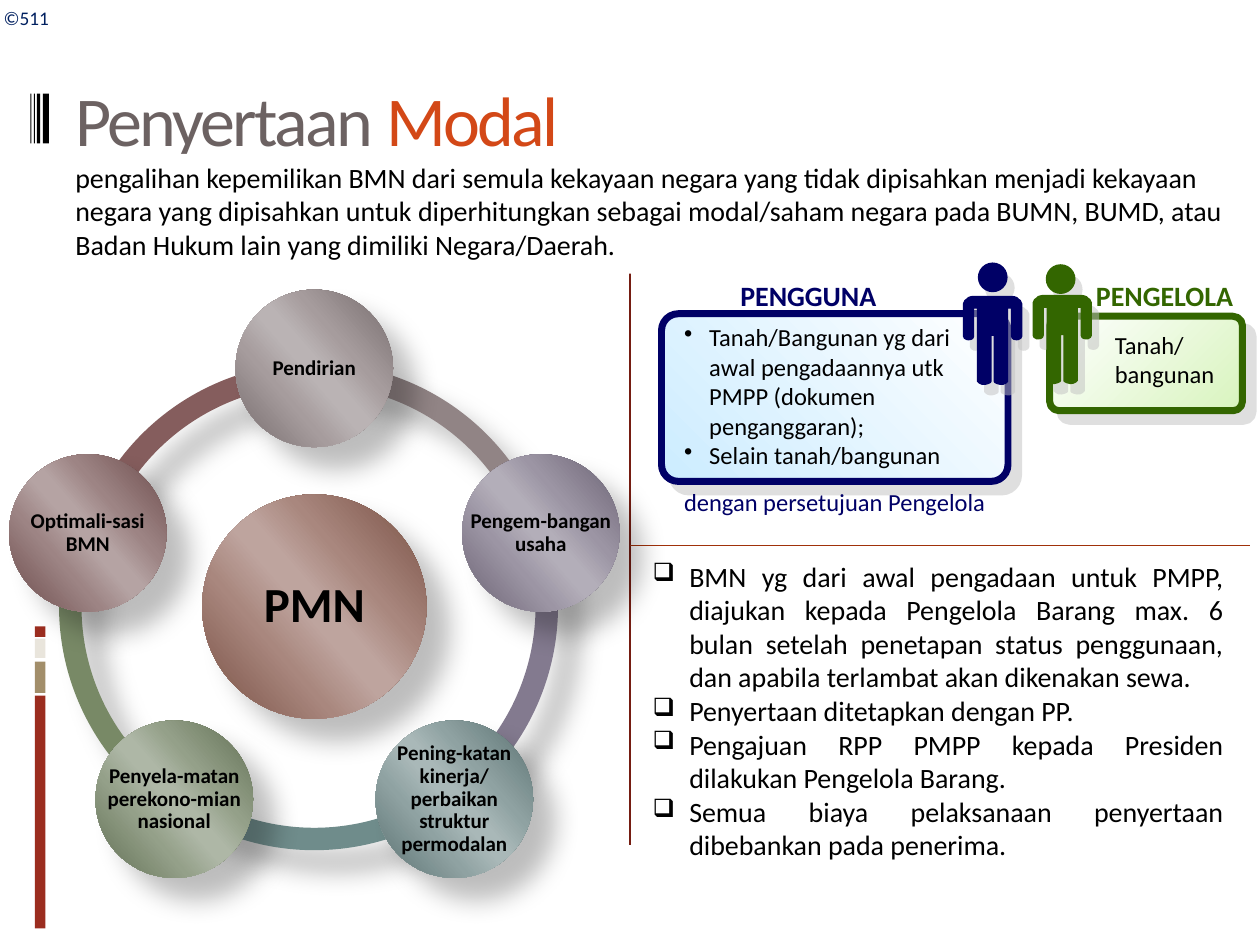
"""Build the "Penyertaan Modal" slide with its PMN cycle and role panels."""
from dataclasses import dataclass
from math import cos, radians, sin
from typing import NamedTuple

from lxml.etree import SubElement
from pptx import Presentation
from pptx.dml.color import RGBColor
from pptx.enum.shapes import MSO_CONNECTOR as CONN, MSO_SHAPE as SHAPE
from pptx.enum.text import MSO_ANCHOR as ANCHOR, PP_ALIGN as ALIGN
from pptx.oxml.ns import qn
from pptx.util import Pt

FONT = "Calibri"
NAVY, GREEN, BLACK = "000066", "336600", "000000"


class Box(NamedTuple):
    left: float
    top: float
    width: float
    height: float


class Run(NamedTuple):
    text: str
    color: str


class Shadow(NamedTuple):
    color: str
    opacity: int
    blur: float
    dist: float
    angle: int


class Bar(NamedTuple):
    box: Box
    color: str


@dataclass
class Node:
    label: str
    dark: str
    mid: str
    light: str
    arc: str
    arc_shift: float = 0


@dataclass
class Role:
    panel: Box
    color: str
    stops: list
    angle: int
    head: tuple
    body: tuple


PANEL_SHADOW = Shadow("C0C0C0", 50, 0, 8.5, 45)
PERSON_SHADOW = Shadow("C0C0C0", 50, 0, 7.2, 56)
CYCLE_SHADOW = Shadow(BLACK, 26, 15, 18, 45)

BARS = [
    Bar(Box(20, 397.5, 6, 133), "9B2D1F"), Bar(Box(20, 378, 6, 18), "A28E6A"),
    Bar(Box(20, 365, 6, 11), "E9E5DC"), Bar(Box(20, 358, 6, 6), "9B2D1F"),
    *(Bar(Box(x, 53.5, w, 28.5), BLACK) for x, w in ((24.5, 3.5), (21, 2), (19.3, 0.7), (17.3, 0.7))),
]
NODES = [
    Node("Pendirian", "746A6B", "A69C9D", "BAB3B4", "918485"),
    Node("Pengem-bangan usaha", "696172", "9C95A4", "B3AEB9", "837A8F"),
    Node("Pening-katan kinerja/ perbaikan struktur permodalan", "597070", "8FA2A2", "A9B8B8", "6F8C8B"),
    Node("Penyela-matan perekono-mian nasional", "606E52", "94A089", "AEB7A6", "788966", -6.5),
    Node("Optimali-sasi BMN", "6B4A4A", "9D8484", "B5A3A3", "855D5D"),
]
HUB = Node("PMN", "774E41", "A9877E", "BEA49E", "")
CENTER = (179.6, 346.6)
RING, ORBIT, NODE_SIZE, HUB_SIZE = 278.6, 136.1, 90, 128.2

USER = Role(Box(378, 179.3, 198, 95.8), NAVY, [(0, "CCECFF"), (100, "FFFFFF")], 315,
            (558.8, 150), (550.2, 169))
MANAGER = Role(Box(599.8, 180.7, 110.2, 54), GREEN, [(0, "FFFFFF"), (100, "D8F4BE")], 45,
               (597.6, 151), (590, 168.5))
HALF_BODY = [
    (5.8, 0), (4.3, 0.3), (2.9, 0.8), (2.1, 1.6), (0.9, 2.5), (0, 4.5), (0, 23.2), (0.6, 24.5),
    (2.1, 25.4), (3.4, 25.5), (5, 25.2), (6, 24.5), (6.5, 23.2), (6.5, 7.4), (8.1, 7.4), (8.1, 49.1),
    (9.2, 50.2), (10.8, 50.9), (12.6, 51), (14.6, 50.5), (16, 49.8), (16.4, 49), (16.4, 23),
]
BODY_WIDTH = 34


def rgb(value: str) -> RGBColor:
    return RGBColor.from_string(value)


def pts(values) -> list:
    return [Pt(v) for v in values]


def add_color(parent, color: str):
    return SubElement(parent, qn("a:srgbClr"), val=color)


def style(sp, fill=None, stops=None, angle=0, line=None, width=0, shadow=None) -> None:
    if stops:
        sp.fill.gradient()
        sp.fill.gradient_angle = (360 - angle) % 360
        gs_list = sp._element.spPr.find(".//" + qn("a:gsLst"))
        gs_list.clear()
        for pos, color in stops:
            add_color(SubElement(gs_list, qn("a:gs"), pos=str(pos * 1000)), color)
    else:
        sp.fill.solid()
        sp.fill.fore_color.rgb = rgb(fill)
    if line:
        sp.line.color.rgb = rgb(line)
        sp.line.width = Pt(width)
    else:
        sp.line.fill.background()
    sp.shadow.inherit = False
    if shadow:
        effects = sp._element.spPr.find(qn("a:effectLst"))
        outer = SubElement(effects, qn("a:outerShdw"), blurRad=str(Pt(shadow.blur)),
                           dist=str(Pt(shadow.dist)), dir=str(shadow.angle * 60000),
                           algn="ctr", rotWithShape="0")
        SubElement(add_color(outer, shadow.color), qn("a:alpha"), val=str(shadow.opacity * 1000))


def add_shape(s, kind, box: Box, adj=(), **look):
    sp = s.shapes.add_shape(kind, *pts(box))
    for i, value in enumerate(adj):
        sp.adjustments[i] = value
    style(sp, **look)
    return sp


def add_text(s, box: Box, *paras, size=16, color=BLACK, bold=False, align=ALIGN.LEFT, anchor=ANCHOR.TOP,
             wrap=True, inset=None, bullet=None, bullet_size=100, indent=0, leading=None, spacing=0):
    sp = s.shapes.add_textbox(*pts(box))
    tf = sp.text_frame
    tf.word_wrap, tf.vertical_anchor = wrap, anchor
    if inset is not None:
        tf.margin_left = tf.margin_top = tf.margin_right = tf.margin_bottom = Pt(inset)
    for i, para in enumerate(paras):
        p = tf.add_paragraph() if i else tf.paragraphs[0]
        if bullet:
            pPr = p._p.get_or_add_pPr()
            pPr.set("marL", str(Pt(indent)))
            pPr.set("indent", str(-Pt(indent)))
            SubElement(pPr, qn("a:buSzPct"), val=str(bullet_size * 1000))
            SubElement(pPr, qn("a:buChar"), char=bullet)
        p.alignment = align
        if leading:
            p.line_spacing = leading
        for text, run_color in [Run(para, color)] if isinstance(para, str) else para:
            r = p.add_run()
            r.text = text
            r.font.name, r.font.size, r.font.bold = FONT, Pt(size), bold
            r.font.color.rgb = rgb(run_color)
            if spacing:
                r._r.get_or_add_rPr().set("spc", str(int(spacing * 100)))
    return sp


def add_line(s, start: tuple, end: tuple, color: str) -> None:
    cx = s.shapes.add_connector(CONN.STRAIGHT, *pts(start + end))
    cx.line.color.rgb = rgb(color)
    cx.line.width = Pt(0.75)
    SubElement(cx._element.spPr, qn("a:effectLst"))


def add_role(s, role: Role) -> None:
    add_shape(s, SHAPE.ROUNDED_RECTANGLE, role.panel, [0.1], stops=role.stops, angle=role.angle,
              line=role.color, width=4, shadow=PANEL_SHADOW)
    add_shape(s, SHAPE.OVAL, Box(*role.head, 17, 17), fill=role.color, shadow=PERSON_SHADOW)
    outline = HALF_BODY + [(BODY_WIDTH - x, y) for x, y in reversed(HALF_BODY)]
    points = [(x * 10, y * 10) for x, y in outline]
    builder = s.shapes.build_freeform(*points[0], scale=Pt(0.1))
    builder.add_line_segments(points[1:], close=True)
    style(builder.convert_to_shape(*pts(role.body)), fill=role.color, shadow=PERSON_SHADOW)


def centered(x: float, y: float, size: float) -> Box:
    return Box(x - size / 2, y - size / 2, size, size)


def add_node(s, node: Node, box: Box, size: int, inset: float) -> None:
    stops = [(0, node.dark), (33, node.mid), (47, node.light),
             (53, node.light), (68, node.mid), (100, node.dark)]
    add_shape(s, SHAPE.OVAL, box, stops=stops, angle=139, shadow=CYCLE_SHADOW)
    add_text(s, box, node.label, size=size, bold=True, align=ALIGN.CENTER, anchor=ANCHOR.MIDDLE,
             inset=inset, leading=0.9)


def add_cycle(s) -> None:
    cx, cy = CENTER
    step = 360 / len(NODES)
    angles = [(270 + step * i) % 360 for i in range(len(NODES))]
    for node, angle in reversed(list(zip(NODES, angles))):
        add_shape(s, SHAPE.BLOCK_ARC, centered(cx + node.arc_shift, cy, RING),
                  [angle * 0.6, (angle + step) % 360 * 0.6, 0.046], fill=node.arc, shadow=CYCLE_SHADOW)
    add_node(s, HUB, centered(cx, cy, HUB_SIZE), 28, 2.8)
    for node, angle in zip(NODES, angles):
        x, y = cx + ORBIT * cos(radians(angle)), cy + ORBIT * sin(radians(angle))
        add_node(s, node, centered(x, y, NODE_SIZE), 12, 1.2)


def main() -> None:
    prs = Presentation()
    prs.slide_width, prs.slide_height = Pt(720), Pt(540)
    s = prs.slides.add_slide(prs.slide_layouts[6])
    for bar in BARS:
        add_shape(s, SHAPE.RECTANGLE, bar.box, fill=bar.color)
    add_text(s, Box(-5, 0, 44, 21), "©511", size=11, color="002060")
    add_line(s, (360, 126), (360, 483), "751D12")
    add_text(s, Box(36, 16.5, 648, 102), [Run("Penyertaan ", "6C6262"), Run("Modal", "D34817")],
             size=40, anchor=ANCHOR.MIDDLE, spacing=-1.5)
    intro = add_text(s, Box(36, 88, 684, 68.4), "pengalihan kepemilikan BMN dari semula kekayaan negara yang tidak dipisahkan menjadi kekayaan negara yang dipisahkan untuk diperhitungkan sebagai modal/saham negara pada BUMN, BUMD, atau Badan Hukum lain yang dimiliki Negara/Daerah.")
    style(intro, fill="FFFFFF")
    add_text(s, Box(365.8, 316, 340.5, 181.5),
             "BMN yg dari awal pengadaan untuk PMPP, diajukan kepada Pengelola Barang max. 6 bulan setelah penetapan status penggunaan, dan apabila terlambat akan dikenakan sewa.",
             "Penyertaan ditetapkan dengan PP.",
             "Pengajuan RPP PMPP kepada Presiden dilakukan Pengelola Barang.",
             "Semua biaya pelaksanaan penyertaan dibebankan pada penerima.",
             align=ALIGN.JUSTIFY, bullet="❑", bullet_size=90, indent=21)
    add_role(s, MANAGER)
    add_text(s, Box(630, 185, 72, 41), "Tanah/ bangunan", size=14)
    add_text(s, Box(619.2, 155.5, 93.6, 26.6), "PENGELOLA", color=GREEN, bold=True, wrap=False)
    add_role(s, USER)
    add_text(s, Box(383.8, 180.7, 192.2, 92),
             "Tanah/Bangunan yg dari awal pengadaannya utk PMPP (dokumen penganggaran);",
             "Selain tanah/bangunan", size=14, bullet="•", indent=14.4)
    add_text(s, Box(416, 155.5, 93.6, 26.6), "PENGGUNA", color=NAVY, bold=True, wrap=False)
    add_text(s, Box(383.8, 275, 192.2, 24), "dengan persetujuan Pengelola", size=14, color=NAVY)
    add_line(s, (360, 311.8), (714.2, 311.8), "A0310A")
    add_cycle(s)
    prs.save("out.pptx")


if __name__ == "__main__":
    main()
